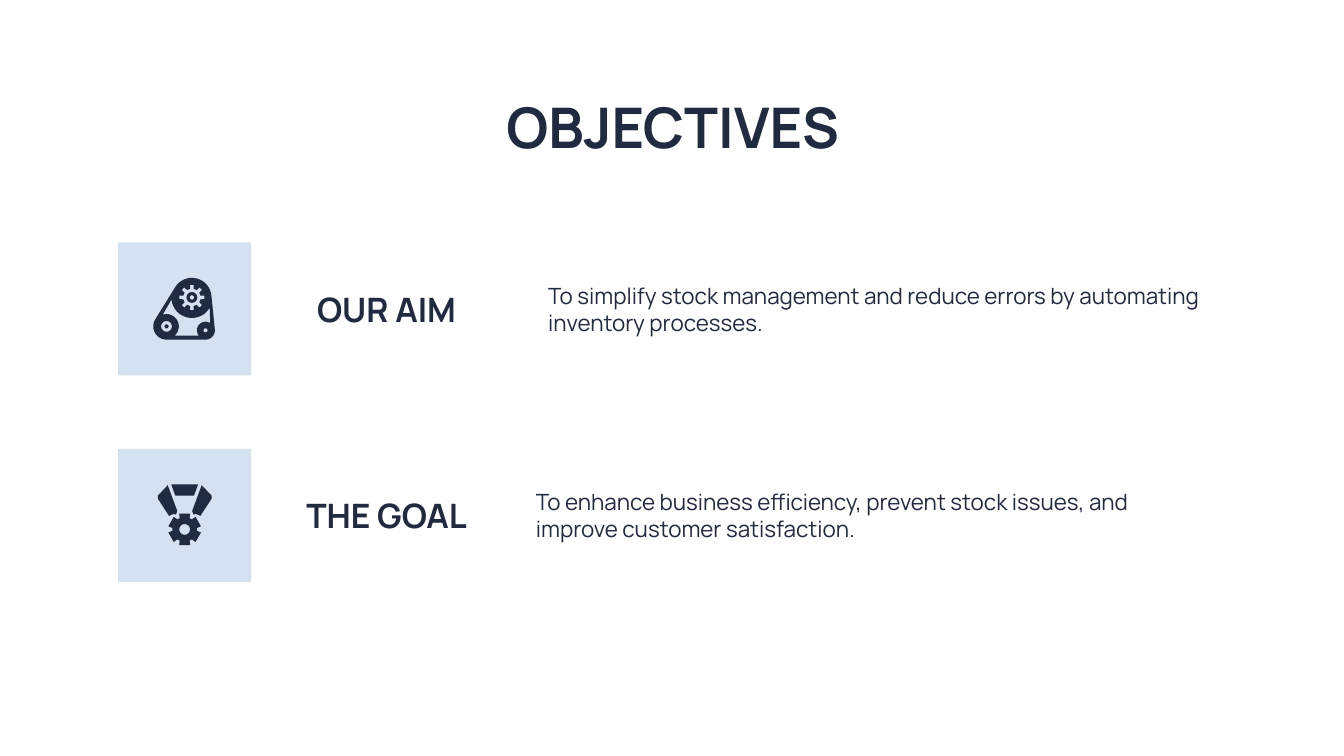
from math import cos, radians, sin
from pptx import Presentation
from pptx.dml.color import RGBColor
from pptx.enum import shapes, text
from pptx.util import Pt

NAVY, PALE = "202A41", "D3E1F1"
TILE = 71.3


def paint(color, code):
    color.rgb = RGBColor.from_string(code)


def arc(x, y, r, start, end):
    steps = 16
    angles = [radians(start + (end - start) * i / steps) for i in range(steps + 1)]
    return [(x + r * cos(a), y + r * sin(a)) for a in angles]


def ring(x, y, r):
    return arc(x, y, r, 0, 360)


def gear(x, y, teeth, tip, root, turn, top, base):
    points = []
    for i in range(teeth):
        mid = turn + 360 * i / teeth
        for r, shift in ((root, -base), (tip, -top), (tip, top), (root, base)):
            a = radians(mid + shift)
            points.append((x + r * cos(a), y + r * sin(a)))
    return points


def belt():
    a, b, c = (3.9, -6.1), (-9.7, 9.4), (11.2, 11.5)
    outer = arc(*b, 7.1, 90, 211) + arc(*a, 10.5, 211, 354) + arc(*c, 5, 354, 450)
    window = arc(*a, 11, 174, 30) + arc(*c, 4.6, -57, -219) + arc(*b, 6.6, 49, -108)
    wheel = gear(*a, 8, 6.8, 4.7, 0, 8, 12)
    holes = [ring(*p, r) for p, r in ((a, 2.9), (a, 1.2), (b, 2.9), (b, 1.1), (c, 1.1))]
    return [[outer, window, wheel, *holes]]


def medal():
    left = [(-9.1, -16.2), (-14.4, -10.6), (-14.4, -9), (-8.4, 0.2),
            (-6.8, -0.5), (-5.9, -0.8), (-4.7, -0.5), (-4, -2.4)]
    right = [(-x, y) for x, y in left]
    bar = [(-7.2, -16.6), (-5, -10.6), (5, -10.6), (7.2, -16.6)]
    hub = (0, 7.5)
    return [[left], [right], [bar], [gear(*hub, 6, 8.9, 6.6, 90, 19, 24), ring(*hub, 2.9)]]


class Deck:
    font = "Manrope"

    def __init__(self):
        self.file = Presentation()
        self.file.slide_width, self.file.slide_height = Pt(720), Pt(405)
        self.slide = self.file.slides.add_slide(self.file.slide_layouts[5])

    def style(self, frame, words, size, bold, align, anchor):
        frame.word_wrap = True
        frame.auto_size = text.MSO_AUTO_SIZE.NONE
        frame.vertical_anchor = anchor
        frame.margin_left = frame.margin_right = Pt(7.2)
        frame.margin_top = frame.margin_bottom = Pt(7.2)
        frame.text = words
        para = frame.paragraphs[0]
        para.alignment = align
        para.font.name, para.font.size, para.font.bold = self.font, Pt(size), bold
        paint(para.font.color, NAVY)

    def title(self, words, x, y, w, h):
        box = self.slide.shapes.title
        box.left, box.top, box.width, box.height = Pt(x), Pt(y), Pt(w), Pt(h)
        self.style(box.text_frame, words, 30, True, text.PP_ALIGN.CENTER, text.MSO_ANCHOR.TOP)

    def label(self, words, x, y, w, h, size, bold, align):
        box = self.slide.shapes.add_textbox(Pt(x), Pt(y), Pt(w), Pt(h))
        self.style(box.text_frame, words, size, bold, align, text.MSO_ANCHOR.MIDDLE)

    def fill(self, shape, code):
        shape.shadow.inherit = False
        shape.fill.solid()
        paint(shape.fill.fore_color, code)
        shape.line.fill.background()

    def tile(self, x, y):
        box = self.slide.shapes.add_shape(
            shapes.MSO_SHAPE.RECTANGLE, Pt(x), Pt(y), Pt(TILE), Pt(TILE))
        self.fill(box, PALE)

    def icon(self, parts, x, y):
        for part in parts:
            rings = [[(Pt(x + dx), Pt(y + dy)) for dx, dy in edge] for edge in part]
            pen = self.slide.shapes.build_freeform(*rings[0][0])
            pen.add_line_segments(rings[0][1:])
            for edge in rings[1:]:
                pen.move_to(*edge[0])
                pen.add_line_segments(edge[1:])
            self.fill(pen.convert_to_shape(), NAVY)


def main():
    deck = Deck()
    deck.title("OBJECTIVES", 56.9, 42.5, 607, 45.4)
    rows = [
        ("OUR AIM", "To simplify stock management and reduce errors by automating "
         "inventory processes.", 286.6, belt()),
        ("THE GOAL", "To enhance business efficiency, prevent stock issues, and "
         "improve customer satisfaction.", 280, medal()),
    ]
    left, top, pitch = 63.3, 129.8, 110.7
    for i, (name, words, x, parts) in enumerate(rows):
        y = top + i * pitch
        deck.tile(left, y)
        deck.icon(parts, left + TILE / 2, y + TILE / 2)
        deck.label(name, 146.2, y, 121.7, TILE, 18, True, text.PP_ALIGN.CENTER)
        deck.label(words, x, y, 377.3, TILE, 12, False, text.PP_ALIGN.LEFT)
    deck.file.save("out.pptx")


if __name__ == "__main__":
    main()
